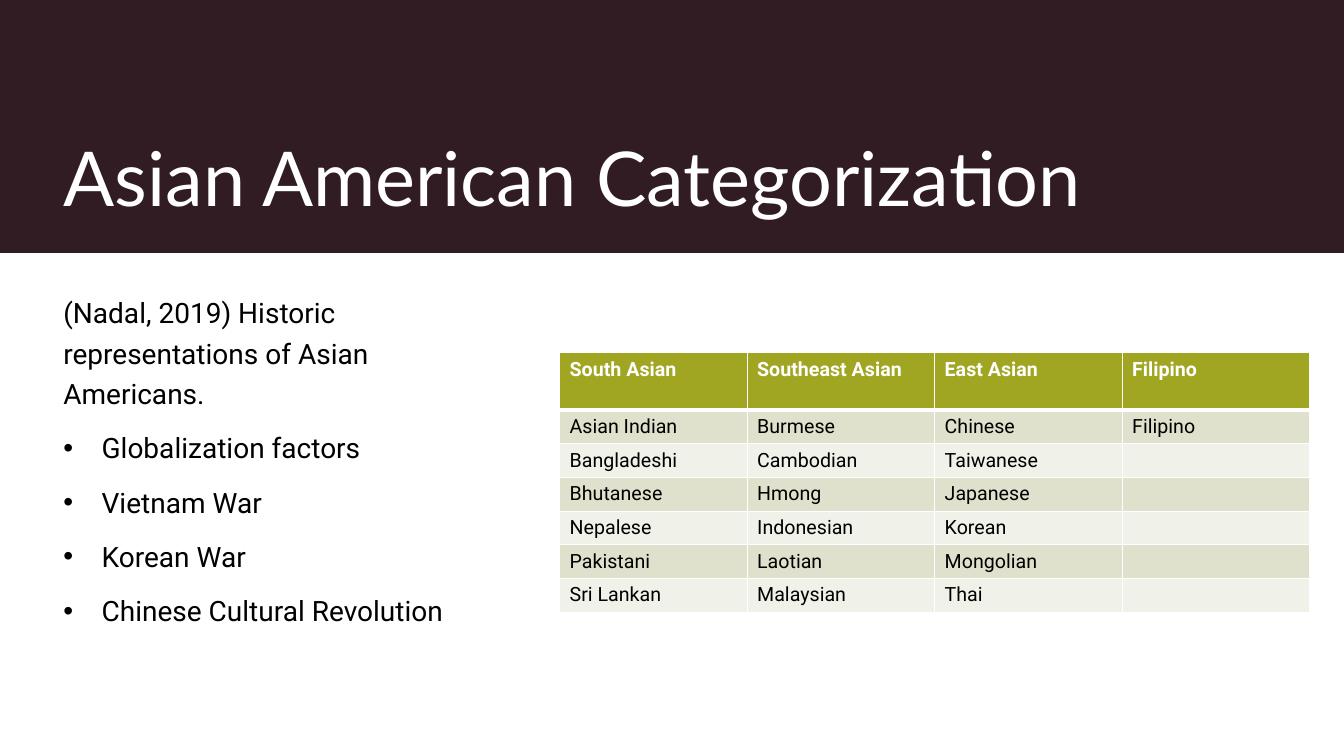
import pptx
import pptx.dml.color
import pptx.enum.shapes
import pptx.enum.text
import pptx.oxml
import pptx.oxml.ns
import pptx.util
from lxml import etree

Inches, Pt = pptx.util.Inches, pptx.util.Pt
qn = pptx.oxml.ns.qn

COLORS = {
    "band": "311C23",
    "white": "FFFFFF",
    "black": "000000",
    "header": "A1A622",
    "odd_row": "E0E1CD",
    "even_row": "F0F1E8",
}
LEFT = 0.53
CATEGORY_WIDTH = 1.86
HEADER_HEIGHT, ROW_HEIGHT = 0.57, 0.33


def rgb(name):
    return pptx.dml.color.RGBColor.from_string(COLORS[name])


def style(paragraph, face, size, color, bold=False):
    paragraph.font.name = face
    paragraph.font.size = Pt(size)
    paragraph.font.color.rgb = rgb(color)
    paragraph.font.bold = bold


deck = pptx.Presentation()
deck.slide_width, deck.slide_height = Inches(13.33), Inches(7.5)
slide = deck.slides.add_slide(deck.slide_layouts[6])

# Title band
band = slide.shapes.add_shape(
    pptx.enum.shapes.MSO_SHAPE.RECTANGLE, 0, 0, deck.slide_width, Inches(2.51))
band.shadow.inherit = False
band.fill.solid()
band.fill.fore_color.rgb = rgb("band")
band.line.fill.background()

title = slide.shapes.add_textbox(
    Inches(LEFT), Inches(0.4), Inches(11.89), Inches(1.85)).text_frame
title.word_wrap = True
title.vertical_anchor = pptx.enum.text.MSO_ANCHOR.BOTTOM
title.text = "Asian American Categorization"
style(title.paragraphs[0], "Lato", 54, "white")

# Historic factors
factors = slide.shapes.add_textbox(
    Inches(LEFT), Inches(2.82), Inches(4.4), Inches(3.94)).text_frame
factors.word_wrap = True
factors.text = "\n".join([
    "(Nadal, 2019) Historic representations of Asian Americans.",
    "Globalization factors",
    "Vietnam War",
    "Korean War",
    "Chinese Cultural Revolution",
])
for index, factor in enumerate(factors.paragraphs):
    factor.line_spacing = 1.2
    if index > 0:
        factor.space_before = Pt(10)
        properties = factor._p.get_or_add_pPr()
        properties.set("marL", str(Inches(0.38)))
        properties.set("indent", str(-Inches(0.38)))
        etree.SubElement(properties, qn("a:buFont"), typeface="Arial")
        etree.SubElement(properties, qn("a:buChar"), char="•")
    style(factor, "Roboto", 20, "black")

# Categories, one column each
categories = {
    "South Asian": ["Asian Indian", "Bangladeshi", "Bhutanese", "Nepalese",
                    "Pakistani", "Sri Lankan"],
    "Southeast Asian": ["Burmese", "Cambodian", "Hmong", "Indonesian",
                        "Laotian", "Malaysian"],
    "East Asian": ["Chinese", "Taiwanese", "Japanese", "Korean",
                   "Mongolian", "Thai"],
    "Filipino": ["Filipino"],
}
group_rows = max(len(groups) for groups in categories.values())
table = slide.shapes.add_table(
    group_rows + 1, len(categories), Inches(5.55), Inches(3.5),
    Inches(CATEGORY_WIDTH * len(categories)),
    Inches(HEADER_HEIGHT + ROW_HEIGHT * group_rows)).table
for row_index, row in enumerate(table.rows):
    row.height = Inches(ROW_HEIGHT if row_index else HEADER_HEIGHT)

for column_index, (category, groups) in enumerate(categories.items()):
    table.columns[column_index].width = Inches(CATEGORY_WIDTH)
    entries = [category] + groups + [""] * (group_rows - len(groups))
    for row_index, entry in enumerate(entries):
        is_header = row_index == 0
        cell = table.cell(row_index, column_index)
        cell.text = entry
        paragraph = cell.text_frame.paragraphs[0]
        style(paragraph, "Roboto", 14, "white" if is_header else "black", is_header)
        if not entry:
            # Keeps an empty cell from stretching its row
            etree.SubElement(paragraph._p, qn("a:endParaRPr"), sz="1400")

        cell_properties = cell._tc.get_or_add_tcPr()
        for side in ("L", "R", "T", "B"):
            thick = (is_header and side == "B") or (row_index == 1 and side == "T")
            border = etree.SubElement(
                cell_properties, qn(f"a:ln{side}"), w=str(Pt(3 if thick else 1)))
            border_fill = etree.SubElement(border, qn("a:solidFill"))
            etree.SubElement(border_fill, qn("a:srgbClr"), val=COLORS["white"])
        cell.fill.solid()
        stripe = "odd_row" if row_index % 2 else "even_row"
        cell.fill.fore_color.rgb = rgb("header" if is_header else stripe)

deck.save("out.pptx")
